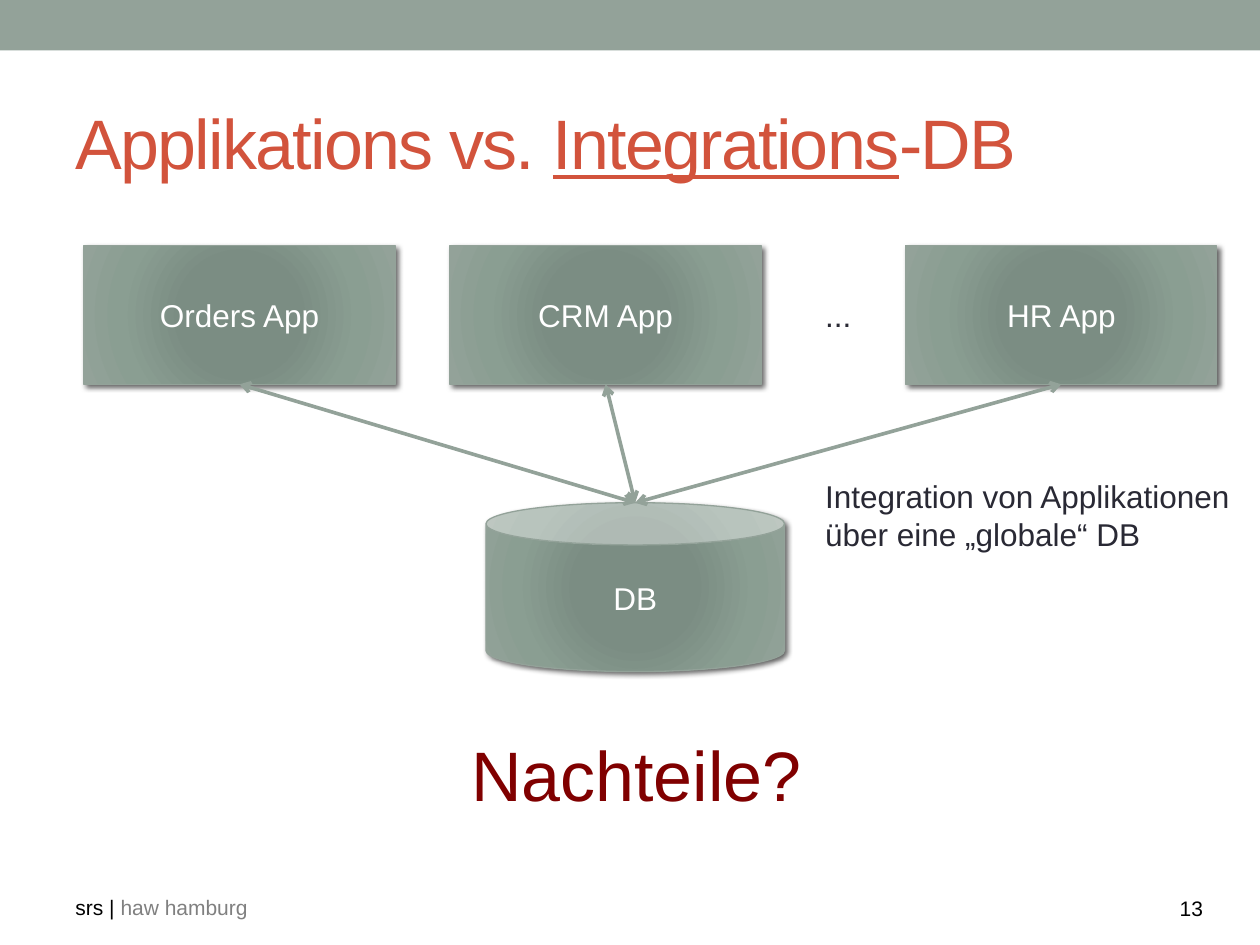
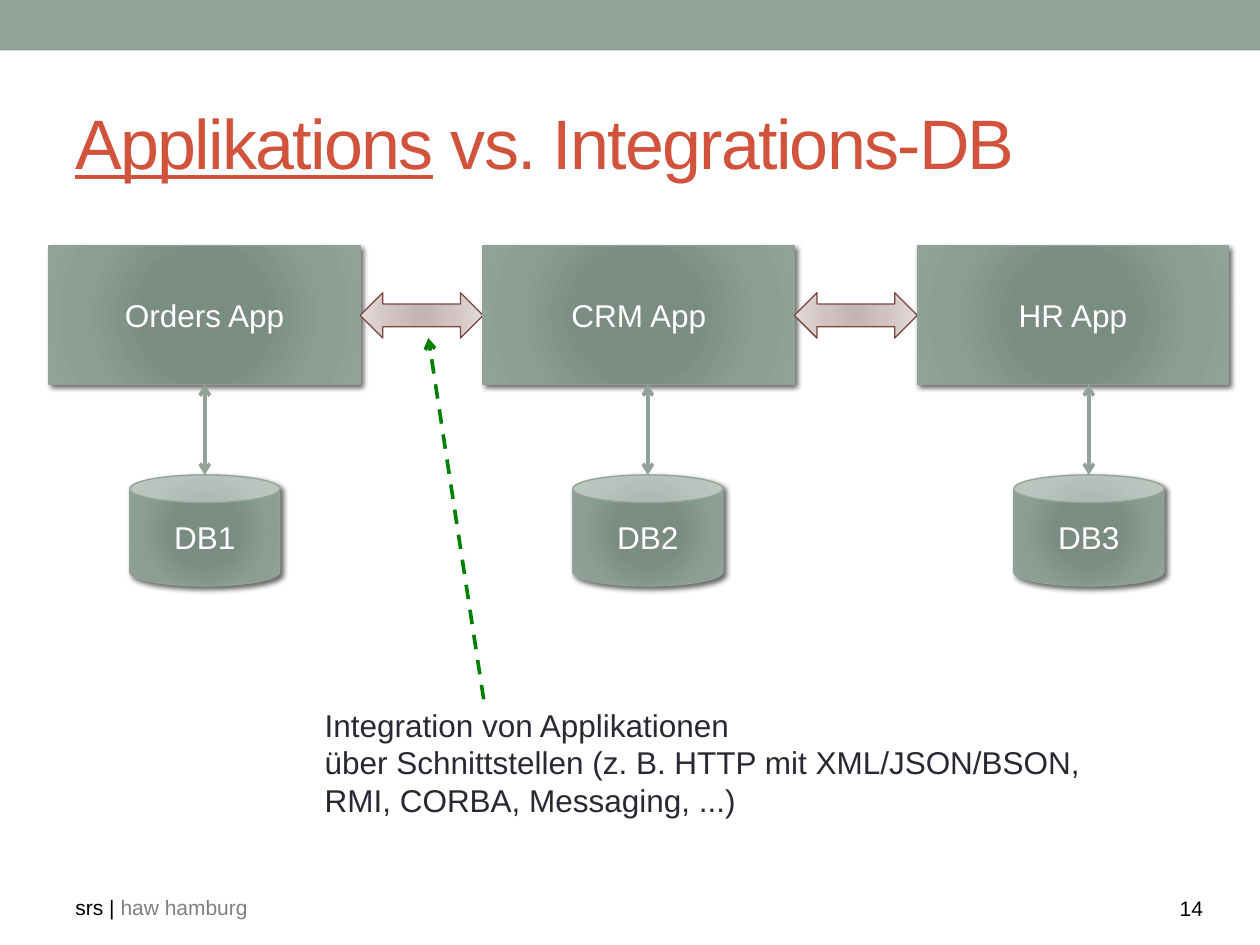
from collections import namedtuple

from lxml.etree import SubElement
from pptx import Presentation
from pptx.dml.color import RGBColor
from pptx.enum.dml import MSO_LINE
from pptx.enum.shapes import MSO_CONNECTOR, MSO_SHAPE
from pptx.enum.text import MSO_ANCHOR, PP_ALIGN
from pptx.oxml.ns import qn
from pptx.util import Pt

COLORS = {
    "sage": "93A299",
    "title": "D2533C",
    "text": "292934",
    "white": "FFFFFF",
    "black": "000000",
    "gray": "808080",
    "question": "800000",
    "pointer": "008000",
    "interface_line": "79463D",
}
# Radial gradients: position in percent and colour, from the centre outwards
SAGE_GRADIENT = [(0, "7B8E82"), (34, "7B8D83"), (70, "8A9E92"), (100, "93A299")]
ROSE_GRADIENT = [(0, "C0B3B1"), (45, "D0C2C0"), (100, "E5DEDD")]

FONT = "Arial"
LINE_WIDTH = 2.08
APP_WIDTH, APP_HEIGHT = 177.8, 79.2
APP_NAMES = ["Orders App", "CRM App", "HR App"]

Box = namedtuple("Box", "left top width height")


def color(name):
    return RGBColor.from_string(COLORS[name])


def lengths(*values):
    return [Pt(value) for value in values]


# Text
def set_font(font, size, color_name):
    font.name = FONT
    font.size = Pt(size)
    font.color.rgb = color(color_name)


def add_text(slide, box, text, size=18, color_name="text", align=PP_ALIGN.LEFT,
             wrap=True, anchor=MSO_ANCHOR.TOP):
    """Add a text box; text is a string or a list of run texts."""
    shape = slide.shapes.add_textbox(*lengths(*box))
    shape.text_frame.word_wrap = wrap
    shape.text_frame.vertical_anchor = anchor
    paragraph = shape.text_frame.paragraphs[0]
    if isinstance(text, str):
        paragraph.text = text
    else:
        for part in text:
            paragraph.add_run().text = part
    paragraph.alignment = align
    set_font(paragraph.font, size, color_name)
    return paragraph


# Shapes and lines
def set_radial_fill(shape, stops):
    shape.fill.gradient()
    gradient = shape._element.spPr.find(qn("a:gradFill"))
    for child in list(gradient):
        gradient.remove(child)
    stop_list = SubElement(gradient, qn("a:gsLst"))
    for position, value in stops:
        stop = SubElement(stop_list, qn("a:gs"), pos=str(position * 1000))
        SubElement(stop, qn("a:srgbClr"), val=value)
    circle = SubElement(gradient, qn("a:path"), path="circle")
    SubElement(circle, qn("a:fillToRect"),
               {side: "100000" for side in ("l", "t", "r", "b")})


def add_shadow(shape):
    effects = shape._element.spPr.find(qn("a:effectLst"))
    shadow = SubElement(effects, qn("a:outerShdw"), blurRad=str(Pt(3)),
                        dist=str(Pt(2)), dir=str(45 * 60000), rotWithShape="0")
    shadow_color = SubElement(shadow, qn("a:srgbClr"), val=COLORS["black"])
    SubElement(shadow_color, qn("a:alpha"), val="60000")


def add_gradient_shape(slide, kind, box, stops, line_color):
    shape = slide.shapes.add_shape(kind, *lengths(*box))
    shape.shadow.inherit = False
    set_radial_fill(shape, stops)
    shape.line.color.rgb = color(line_color)
    shape.line.width = Pt(0.75)
    return shape


def add_node(slide, kind, box, label):
    shape = add_gradient_shape(slide, kind, box, SAGE_GRADIENT, "sage")
    add_shadow(shape)
    shape.text_frame.vertical_anchor = MSO_ANCHOR.MIDDLE
    paragraph = shape.text_frame.paragraphs[0]
    paragraph.text = label
    paragraph.alignment = PP_ALIGN.CENTER
    set_font(paragraph.font, 18, "white")


def add_arrow(slide, start, end, color_name="sage", both_ends=True, dashed=False):
    connector = slide.shapes.add_connector(MSO_CONNECTOR.STRAIGHT,
                                           *lengths(*start, *end))
    connector.line.color.rgb = color(color_name)
    connector.line.width = Pt(LINE_WIDTH)
    if dashed:
        connector.line.dash_style = MSO_LINE.DASH
    properties = connector._element.spPr
    line = properties.find(qn("a:ln"))
    if both_ends:
        SubElement(line, qn("a:headEnd"), type="arrow")
    SubElement(line, qn("a:tailEnd"), type="arrow")
    SubElement(properties, qn("a:effectLst"))


# Parts shared by all slides
def add_frame(slide, title_parts, underlined, number):
    band = slide.shapes.add_shape(MSO_SHAPE.RECTANGLE, *lengths(0, 0, 720, 28.8))
    band.shadow.inherit = False
    band.fill.solid()
    band.fill.fore_color.rgb = color("sage")
    band.line.fill.background()

    footer = add_text(slide, Box(36, 507.6, 113.8, 21.6), ["srs | ", "haw hamburg"],
                      12, "black", wrap=False)
    footer.runs[1].font.color.rgb = color("gray")
    set_font(footer.runs[0].font, 12, "black")
    add_text(slide, Box(661.7, 508.3, 38.2, 21.6), str(number), 12, "black",
             PP_ALIGN.CENTER, wrap=False)

    title = add_text(slide, Box(36, 41.8, 648, 77.8), title_parts, 40, "title",
                     anchor=MSO_ANCHOR.MIDDLE)
    for run in title.runs:
        run.font.underline = run.text == underlined
        run._r.get_or_add_rPr().set("spc", "-100")


# Several applications on one global database
def add_integration_diagram(slide, box):
    database = Box(box.left + 229.7, box.top + 146.9, 170.6, 96.5)
    database_top = (database.left + database.width / 2, database.top)
    add_node(slide, MSO_SHAPE.CAN, database, "DB")
    for name, offset in zip(APP_NAMES, (0, 209.2, 469.6)):
        app = Box(box.left + offset, box.top, APP_WIDTH, APP_HEIGHT)
        add_node(slide, MSO_SHAPE.RECTANGLE, app, name)
        add_arrow(slide, (app.left + APP_WIDTH / 2, app.top + APP_HEIGHT),
                  database_top)

    note_left = box.left + 416.4
    add_text(slide, Box(note_left, box.top + 25.2, 29.5, 28.8), "...", wrap=False)
    add_text(slide, Box(note_left, box.top + 128.9, 247.7, 51.1),
             "Integration von Applikationen\vüber eine „globale“ DB")
    add_text(slide, Box(box.left + 191.8, box.top + 274.3, 247.7, 55.4),
             "Nachteile?", 40, "question", PP_ALIGN.CENTER)


# One database per application, linked by interfaces
def add_application_diagram(slide, box):
    pitch = (box.width - APP_WIDTH) / (len(APP_NAMES) - 1)
    app_bottom = box.top + APP_HEIGHT
    database_top = box.top + 131
    database_width = 85.8
    database_centers = (89, 342.2, 594.2)

    for index, (name, center) in enumerate(zip(APP_NAMES, database_centers)):
        app = Box(box.left + index * pitch, box.top, APP_WIDTH, APP_HEIGHT)
        add_node(slide, MSO_SHAPE.RECTANGLE, app, name)
        center_x = box.left + center
        database = Box(center_x - database_width / 2, database_top,
                       database_width, 63.4)
        add_node(slide, MSO_SHAPE.CAN, database, f"DB{index + 1}")
        add_arrow(slide, (center_x, app_bottom), (center_x, database_top))
        if index < len(APP_NAMES) - 1:
            interface = Box(app.left + APP_WIDTH, box.top + 26.9,
                            pitch - APP_WIDTH, 25.9)
            add_gradient_shape(slide, MSO_SHAPE.LEFT_RIGHT_ARROW, interface,
                               ROSE_GRADIENT, "interface_line")

    note = Box(box.left + 150.4, box.top + 259.2, 491, 72.7)
    add_text(slide, note,
             "Integration von Applikationen\v"
             "über Schnittstellen (z. B. HTTP mit XML/JSON/BSON,\v"
             "RMI, CORBA, Messaging, ...)")
    add_arrow(slide, (note.left + 98, note.top), (box.left + 216.8, box.top + 52.8),
              "pointer", both_ends=False, dashed=True)


def main():
    presentation = Presentation()
    presentation.slide_width, presentation.slide_height = lengths(720, 540)
    blank = presentation.slide_layouts[6]

    slide = presentation.slides.add_slide(blank)
    add_frame(slide, ["Applikations vs. ", "Integrations", "-DB"], "Integrations", 13)
    add_integration_diagram(slide, Box(48, 140.4, 664, 330))

    slide = presentation.slides.add_slide(blank)
    add_frame(slide, ["Applikations", " vs. Integrations-DB"], "Applikations", 14)
    add_application_diagram(slide, Box(28, 140.4, 674, 332))

    presentation.save("out.pptx")


if __name__ == "__main__":
    main()
